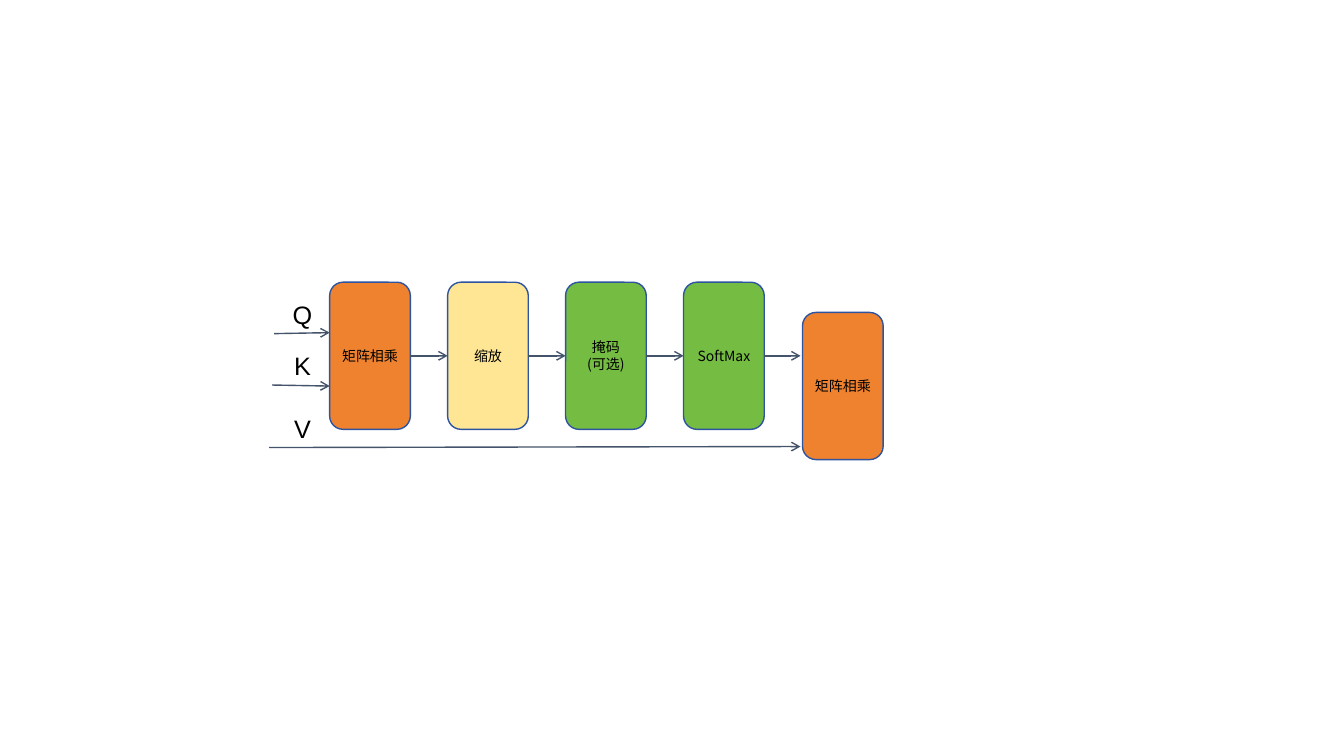
from lxml import etree
from pptx import Presentation
from pptx import util as u
from pptx.dml.color import RGBColor
from pptx.enum import shapes, text
from pptx.oxml import ns

ORANGE = RGBColor(0xEE, 0x82, 0x2F)
YELLOW = RGBColor(0xFE, 0xE6, 0x95)
GREEN = RGBColor(0x75, 0xBD, 0x42)
BORDER = RGBColor(0x2E, 0x54, 0xA1)
ARROW = RGBColor(0x44, 0x54, 0x6A)
BLACK = RGBColor(0, 0, 0)

FIRST_LEFT, STAGE_TOP = 3.27, 2.8
STAGE_WIDTH, STAGE_HEIGHT = 0.8, 1.46
COLUMN = 1.17
FLOW_Y = STAGE_TOP + STAGE_HEIGHT / 2
LAST_LEFT, LAST_TOP = 7.96, 3.1
LAST_ENTRY = LAST_LEFT - 0.02
LABEL_WIDTH, LABEL_HEIGHT = 0.54, 0.34
LABEL_CENTER, LABEL_RISE = 3.0, 0.19

STAGES = [("矩阵相乘", ORANGE), ("缩放", YELLOW), ("掩码\n(可选)", GREEN), ("SoftMax", GREEN)]
INPUTS = [
    ("Q", 2.72, 3.31, FIRST_LEFT, 3.3),
    ("K", 2.7, 3.82, FIRST_LEFT, 3.83),
    ("V", 2.67, 4.44, LAST_ENTRY, 4.43),
]


def write(frame, words, size, font_name):
    frame.margin_left = frame.margin_right = 0
    frame.margin_top = frame.margin_bottom = 0
    frame.word_wrap = True
    frame.vertical_anchor = text.MSO_ANCHOR.MIDDLE
    frame.text = words
    for paragraph in frame.paragraphs:
        paragraph.alignment = text.PP_ALIGN.CENTER
        for run in paragraph.runs:
            run.font.size = u.Pt(size)
            run.font.color.rgb = BLACK
            run.font.name = font_name
            east_asian = etree.SubElement(run._r.get_or_add_rPr(), ns.qn("a:ea"))
            east_asian.set("typeface", font_name)


def add_stage(slide, words, color, left, top):
    stage = slide.shapes.add_shape(
        shapes.MSO_SHAPE.ROUNDED_RECTANGLE,
        u.Inches(left), u.Inches(top), u.Inches(STAGE_WIDTH), u.Inches(STAGE_HEIGHT))
    stage.shadow.inherit = False
    stage.fill.solid()
    stage.fill.fore_color.rgb = color
    stage.line.color.rgb = BORDER
    stage.line.width = u.Pt(1)
    write(stage.text_frame, words, 10, "Noto Sans CJK SC")


def add_arrow(slide, start_x, start_y, end_x, end_y):
    arrow = slide.shapes.add_connector(
        shapes.MSO_CONNECTOR.STRAIGHT,
        u.Inches(start_x), u.Inches(start_y), u.Inches(end_x), u.Inches(end_y))
    arrow.line.color.rgb = ARROW
    arrow.line.width = u.Pt(1)
    etree.SubElement(arrow.line._get_or_add_ln(), ns.qn("a:tailEnd")).set("type", "arrow")
    etree.SubElement(arrow._element.spPr, ns.qn("a:effectLst"))


def add_input(slide, name, start_x, start_y, end_x, end_y):
    add_arrow(slide, start_x, start_y, end_x, end_y)
    label = slide.shapes.add_textbox(
        u.Inches(LABEL_CENTER - LABEL_WIDTH / 2),
        u.Inches(start_y - LABEL_RISE - LABEL_HEIGHT / 2),
        u.Inches(LABEL_WIDTH), u.Inches(LABEL_HEIGHT))
    write(label.text_frame, name, 18, "Arial")


def main():
    deck = Presentation()
    deck.slide_width, deck.slide_height = u.Inches(13.33), u.Inches(7.5)
    slide = deck.slides.add_slide(deck.slide_layouts[6])

    for column, (words, color) in enumerate(STAGES):
        left = FIRST_LEFT + column * COLUMN
        add_stage(slide, words, color, left, STAGE_TOP)
        add_arrow(slide, left + STAGE_WIDTH, FLOW_Y, min(left + COLUMN, LAST_ENTRY), FLOW_Y)
    add_stage(slide, "矩阵相乘", ORANGE, LAST_LEFT, LAST_TOP)

    for attention_input in INPUTS:
        add_input(slide, *attention_input)

    deck.save("out.pptx")


if __name__ == "__main__":
    main()
